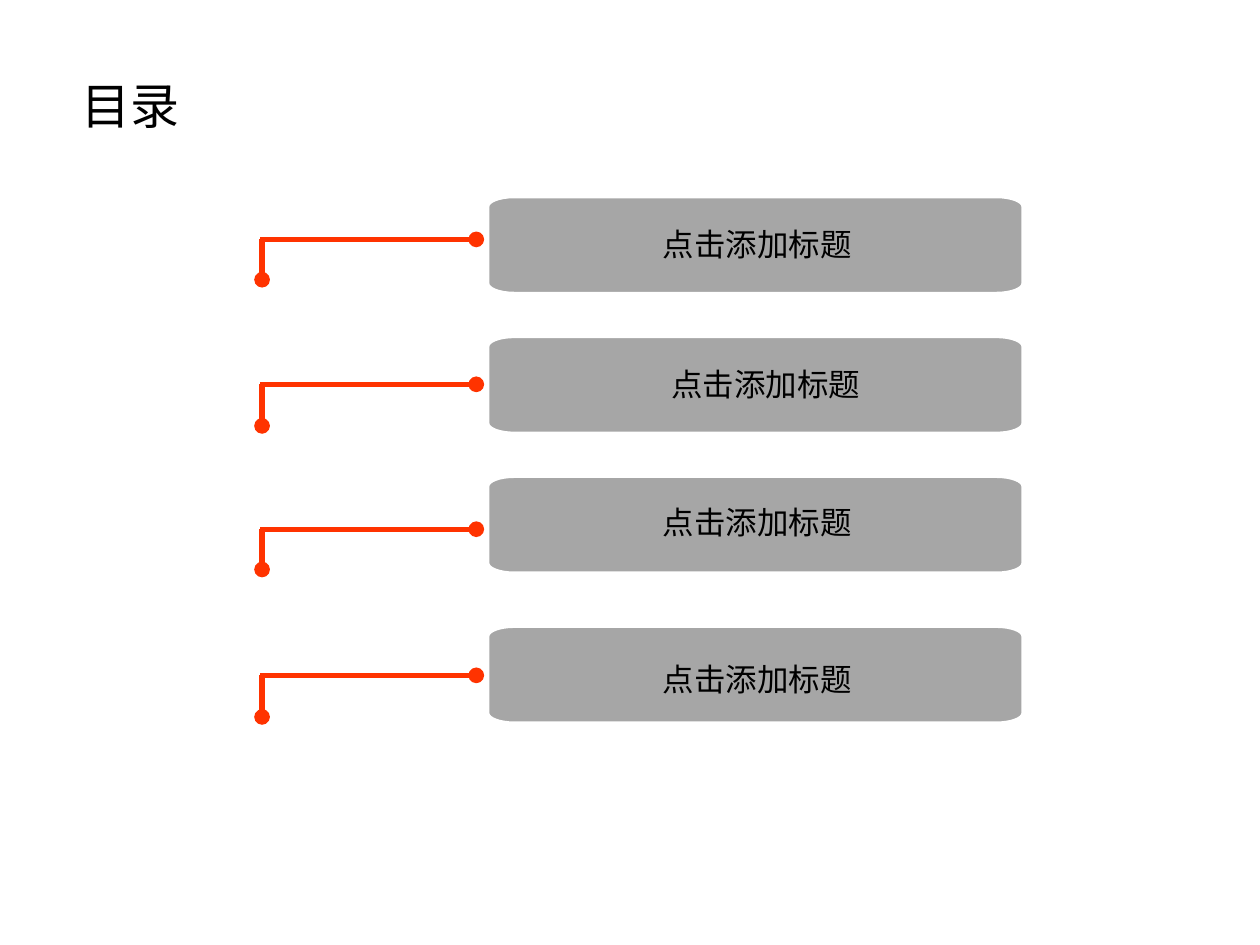
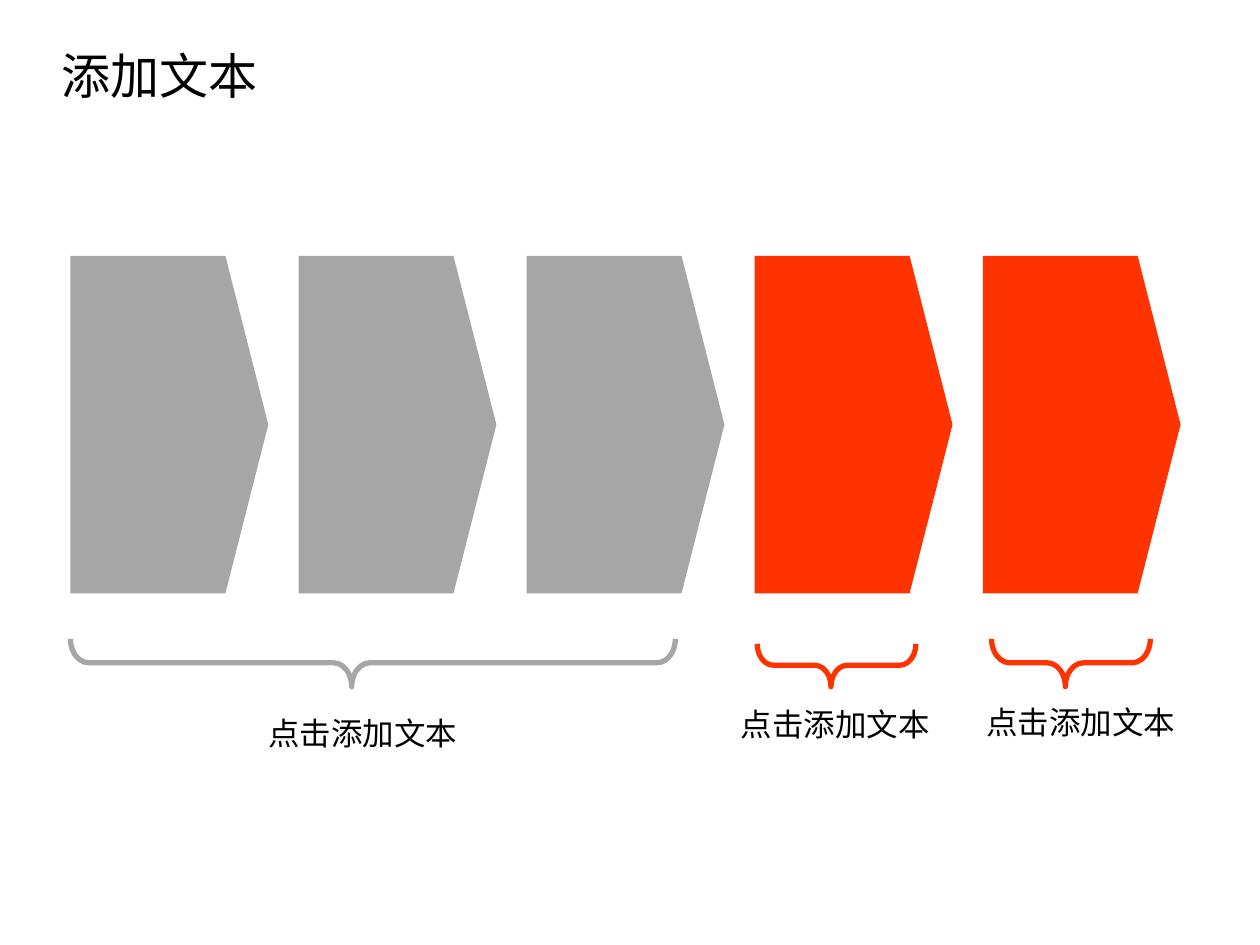
from lxml import etree
from pptx import Presentation
from pptx.dml.color import RGBColor
from pptx.enum.shapes import MSO_CONNECTOR, MSO_SHAPE
from pptx.enum.text import MSO_AUTO_SIZE
from pptx.oxml.ns import qn
from pptx.util import Inches, Pt

STRAIGHT = MSO_CONNECTOR.STRAIGHT
PENTAGON = MSO_SHAPE.PENTAGON
LEFT_BRACE = MSO_SHAPE.LEFT_BRACE
GROW = MSO_AUTO_SIZE.SHAPE_TO_FIT_TEXT

# Shared style
FONT = "Noto Sans CJK SC"
GREY, ORANGE, BLACK, WHITE = "A6A6A6", "FF3300", "000000", "FFFFFF"
TITLE_SIZE, LABEL_SIZE = 28, 18
LABEL_WIDTH, LABEL_HEIGHT, TITLE_HEIGHT = 1.72, 0.4, 0.57
STROKE = 3

# Contents slide: text, left, top, width and whether the title wraps
CONTENTS_TITLE = ("目录", 0.55, 0.55, 1.09, True)
BAR_TOPS = [1.56, 2.67, 3.78, 4.97]
ELBOWS = [(1.9, 2.22), (3.05, 3.38), (4.2, 4.52), (5.36, 5.69)]
# Label, left, top, height
ENTRIES = [
    ("点击添加标题", 5.23, 2.85, 0.71),
    ("点击添加标题", 5.16, 5.19, 0.4),
    ("点击添加标题", 5.16, 3.94, 0.71),
    ("点击添加标题", 5.16, 1.74, 0.4),
]
BAR_LEFT, BAR_WIDTH, BAR_HEIGHT = 3.87, 4.25, 0.77
CORNER_WIDTH, CORNER_HEIGHT, CORNER_PULL = 0.21, 0.08, 0.55
ELBOW_LEFT, ELBOW_RIGHT, ELBOW_OVERLAP = 2.08, 3.78, 0.02

# Process slide
PROCESS_TITLE = ("添加文本", 0.39, 0.31, 1.77, False)
STEP_COLORS = [GREY] * 3 + [ORANGE] * 2
STEP_LEFT, STEP_TOP, STEP_WIDTH, STEP_HEIGHT = 0.56, 2.03, 1.57, 2.68
STEP_PITCH, STEP_POINT = 1.81, 0.217
# Brace: colour, left, top, span, depth
BRACES = [
    (GREY, 0.56, 5.07, 4.8, 0.38),
    (ORANGE, 6.01, 5.11, 1.26, 0.34),
    (ORANGE, 7.87, 5.07, 1.26, 0.38),
]
# Label, left, top
PHASES = [
    ("点击添加文本", 7.73, 5.53),
    ("点击添加文本", 5.78, 5.55),
    ("点击添加文本", 2.03, 5.62),
]
BRACE_CURVE, BRACE_TIP = 0.378, 0.465


def rgb(color):
    return RGBColor.from_string(color)


def add_text(slide, text, left, top, width, height, size, wrap=False):
    box = slide.shapes.add_textbox(*map(Inches, (left, top, width, height)))
    box.text_frame.word_wrap = wrap
    box.text_frame.auto_size = GROW
    box.text_frame.text = text
    font = box.text_frame.paragraphs[0].runs[0].font
    font.name, font.size = FONT, Pt(size)
    font.color.rgb = rgb(BLACK)
    east_asian = etree.Element(qn("a:ea"), typeface=FONT)
    font._element.find(qn("a:latin")).addnext(east_asian)


def add_title(slide, text, left, top, width, wrap):
    add_text(slide, text, left, top, width, TITLE_HEIGHT, TITLE_SIZE, wrap)


def paint(shape, fill=None, line=None, line_width=STROKE):
    shape.shadow.inherit = False
    if fill:
        shape.fill.solid()
        shape.fill.fore_color.rgb = rgb(fill)
    else:
        shape.fill.background()
    if line:
        shape.line.color.rgb = rgb(line)
        shape.line.width = Pt(line_width)
    else:
        shape.line.fill.background()


def bend(segment, start, corner, end):
    """Turn a straight corner segment into a curve pulled to the corner."""
    pulled = [tuple(p + (c - p) * CORNER_PULL for p, c in zip(point, corner))
              for point in (start, end)]
    curve = etree.Element(qn("a:cubicBezTo"))
    for x, y in pulled + [end]:
        etree.SubElement(curve, qn("a:pt"), x=str(Inches(x)), y=str(Inches(y)))
    segment.getparent().replace(segment, curve)


def add_bar(slide, top):
    """Bar with elliptical corners, traced from the top right one."""
    w, h, dx, dy = BAR_WIDTH, BAR_HEIGHT, CORNER_WIDTH, CORNER_HEIGHT
    corners = [
        ((w, dy), (w, 0), (w - dx, 0)),
        ((dx, 0), (0, 0), (0, dy)),
        ((0, h - dy), (0, h), (dx, h)),
        ((w - dx, h), (w, h), (w, h - dy)),
    ]
    outline = [tuple(map(Inches, point))
               for start, _, end in corners for point in (start, end)]
    builder = slide.shapes.build_freeform(*outline[0])
    builder.add_line_segments(outline[1:], close=True)
    bar = builder.convert_to_shape(Inches(BAR_LEFT), Inches(top))
    segments = list(bar._element.iter(qn("a:lnTo")))
    for segment, corner in zip(segments[::2], corners):
        bend(segment, *corner)
    paint(bar, GREY, WHITE, 2)


def add_dotted_line(group, start, end):
    line = group.shapes.add_connector(STRAIGHT, *map(Inches, start + end))
    line.line.color.rgb = rgb(ORANGE)
    line.line.width = Pt(STROKE)
    etree.SubElement(line.line._get_or_add_ln(), qn("a:headEnd"), type="oval")
    etree.SubElement(line._element.spPr, qn("a:effectLst"))


def add_elbow(slide, top, bottom):
    group = slide.shapes.add_group_shape()
    add_dotted_line(group, (ELBOW_RIGHT, top), (ELBOW_LEFT - ELBOW_OVERLAP, top))
    add_dotted_line(group, (ELBOW_LEFT, bottom), (ELBOW_LEFT, top))


def add_brace(slide, color, left, top, span, depth):
    """Left brace turned to point down; its frame shares the visible centre."""
    frame = (left + (span - depth) / 2, top + (depth - span) / 2, depth, span)
    brace = slide.shapes.add_shape(LEFT_BRACE, *map(Inches, frame))
    brace.adjustments[0], brace.adjustments[1] = BRACE_CURVE, BRACE_TIP
    brace.rotation = 270
    paint(brace, line=color)


prs = Presentation()
prs.slide_width, prs.slide_height = Inches(10), Inches(7.5)
blank = prs.slide_layouts[6]

# Contents slide
contents = prs.slides.add_slide(blank)
add_title(contents, *CONTENTS_TITLE)
for bar_top in BAR_TOPS:
    add_bar(contents, bar_top)
for elbow_top, elbow_bottom in ELBOWS:
    add_elbow(contents, elbow_top, elbow_bottom)
for label, left, top, height in ENTRIES:
    add_text(contents, label, left, top, LABEL_WIDTH, height, LABEL_SIZE)

# Process slide
process = prs.slides.add_slide(blank)
add_title(process, *PROCESS_TITLE)
for column, color in enumerate(STEP_COLORS):
    frame = (STEP_LEFT + column * STEP_PITCH, STEP_TOP, STEP_WIDTH, STEP_HEIGHT)
    arrow = process.shapes.add_shape(PENTAGON, *map(Inches, frame))
    arrow.adjustments[0] = STEP_POINT
    paint(arrow, color)
for brace in BRACES:
    add_brace(process, *brace)
for label, left, top in PHASES:
    add_text(process, label, left, top, LABEL_WIDTH, LABEL_HEIGHT, LABEL_SIZE)

prs.save("out.pptx")
